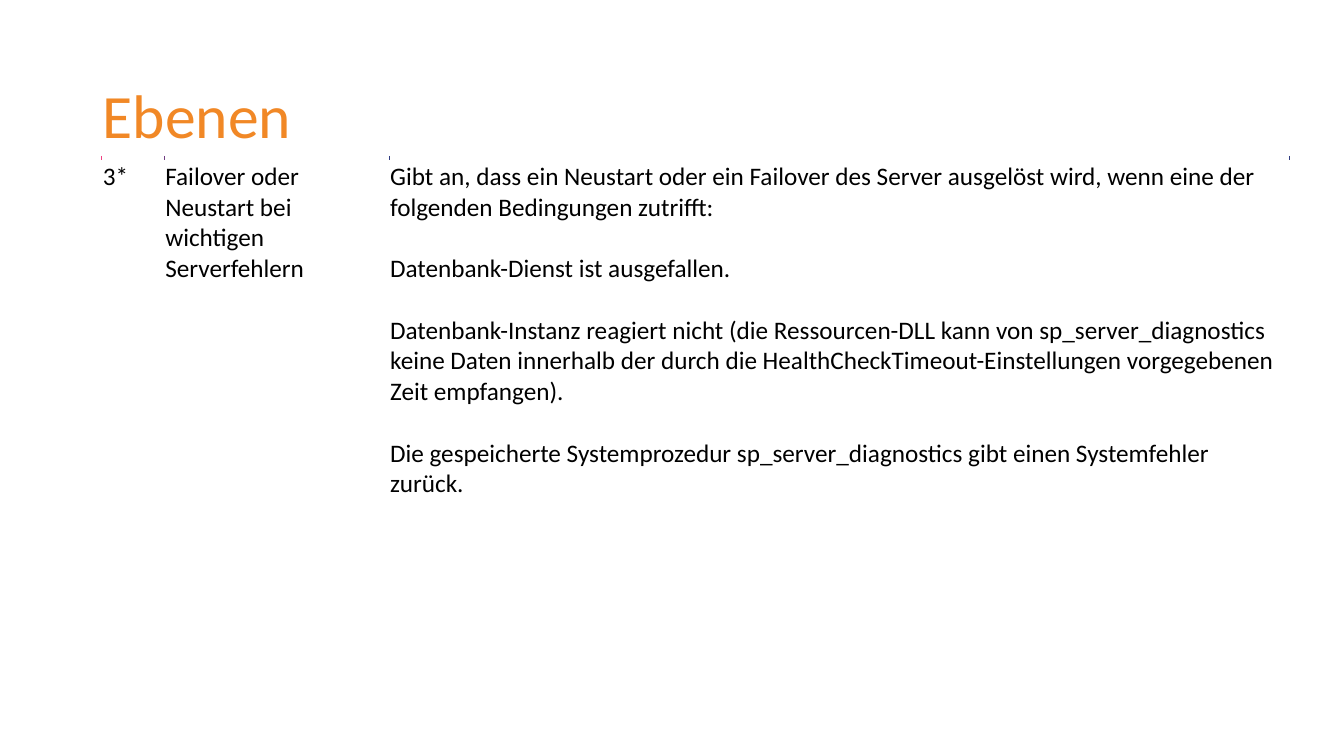
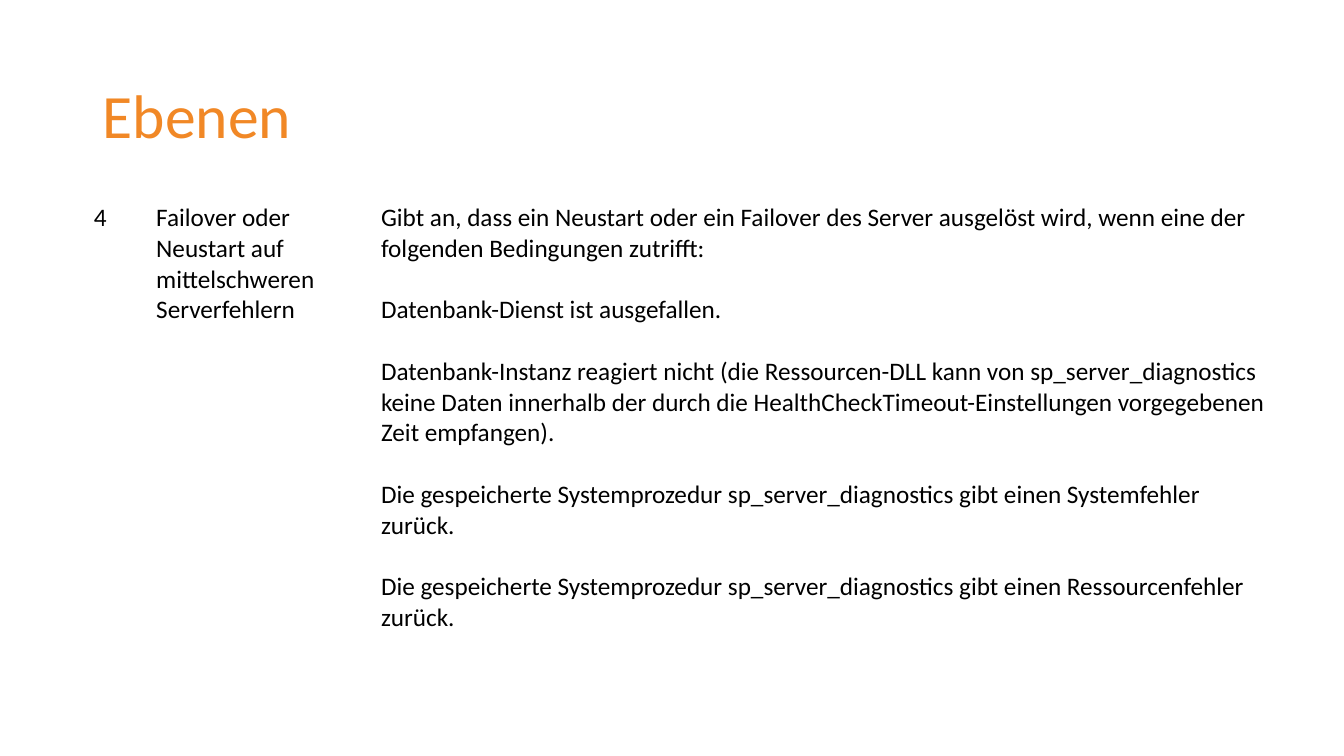
import dataclasses

import lxml.etree
import pptx
import pptx.dml.color
import pptx.enum.text
import pptx.oxml.ns
import pptx.util

Inches = pptx.util.Inches
Pt = pptx.util.Pt


@dataclasses.dataclass(frozen=True)
class Theme:
    font: str = "Calibri"
    accent: str = "F18826"
    ink: str = "000000"
    paper: str = "FFFFFF"
    title_size: int = 44
    body_size: int = 18
    empty_size: int = 1
    paragraph_gap: int = 22
    cell_inset: float = 0.01
    border_width: float = 0.75
    tick_width: float = 1


THEME = Theme()
TITLE_BOX = (0.92, 0.5, 11.5, 1.35)
COLUMN_WIDTHS = (0.62, 2.23, 8.93)
TICK_COLORS = ("F04082", "703C82", "303C82", "303C82")
SIDES = ("L", "R", "T", "B")

CONDITIONS = [
    "Gibt an, dass ein Neustart oder ein Failover des Server ausgelöst wird, "
    "wenn eine der folgenden Bedingungen zutrifft:",
    "Datenbank-Dienst ist ausgefallen.",
    "Datenbank-Instanz reagiert nicht (die Ressourcen-DLL kann von sp_server_diagnostics "
    "keine Daten innerhalb der durch die HealthCheckTimeout-Einstellungen vorgegebenen "
    "Zeit empfangen).",
    "Die gespeicherte Systemprozedur sp_server_diagnostics gibt einen Systemfehler zurück.",
]
RESOURCE_CONDITION = (
    "Die gespeicherte Systemprozedur sp_server_diagnostics gibt einen Ressourcenfehler zurück."
)


def rgb(color):
    return pptx.dml.color.RGBColor.from_string(color)


def write_text(frame, paragraphs, size=THEME.body_size, color=THEME.ink,
               line_spacing=1.0, gap=0):
    frame.word_wrap = True
    for index, content in enumerate(paragraphs):
        paragraph = frame.paragraphs[0] if index == 0 else frame.add_paragraph()
        paragraph.line_spacing = line_spacing
        paragraph.space_before = Pt(gap if index else 0)
        run = paragraph.add_run()
        run.text = content
        run.font.name = THEME.font
        run.font.size = Pt(size)
        run.font.color.rgb = rgb(color)


def shrink_empty(cell):
    paragraph = cell.text_frame.paragraphs[0]
    end = lxml.etree.SubElement(paragraph._p, pptx.oxml.ns.qn("a:endParaRPr"))
    end.set("sz", str(THEME.empty_size * 100))


def set_borders(cell, ticks):
    properties = cell._tc.get_or_add_tcPr()
    for index, side in enumerate(SIDES):
        width = THEME.tick_width if side in ticks else THEME.border_width
        line = lxml.etree.Element(pptx.oxml.ns.qn(f"a:ln{side}"), w=str(Pt(width)))
        fill = lxml.etree.SubElement(line, pptx.oxml.ns.qn("a:solidFill"))
        lxml.etree.SubElement(fill, pptx.oxml.ns.qn("a:srgbClr"),
                              val=ticks.get(side, THEME.paper))
        properties.insert(index, line)


def format_cell(cell, paragraphs, ticks):
    cell.margin_left = cell.margin_right = Inches(THEME.cell_inset)
    cell.margin_top = cell.margin_bottom = Inches(THEME.cell_inset)
    cell.fill.solid()
    cell.fill.fore_color.rgb = rgb(THEME.paper)
    set_borders(cell, ticks)
    if paragraphs:
        write_text(cell.text_frame, paragraphs, gap=THEME.paragraph_gap)
    else:
        shrink_empty(cell)


def add_title(slide, title, box):
    heading = slide.shapes.add_textbox(*map(Inches, box))
    heading.text_frame.vertical_anchor = pptx.enum.text.MSO_ANCHOR.MIDDLE
    write_text(heading.text_frame, [title], size=THEME.title_size,
               color=THEME.accent, line_spacing=0.9)


def add_level_table(slide, rows, row_heights, left, top, ticked_row=None):
    levels = slide.shapes.add_table(
        len(rows), len(COLUMN_WIDTHS), Inches(left), Inches(top),
        Inches(sum(COLUMN_WIDTHS)), Inches(sum(row_heights))).table
    levels.first_row = False
    levels.horz_banding = False
    for column, width in zip(levels.columns, COLUMN_WIDTHS):
        column.width = Inches(width)
    for row_index, (row, height) in enumerate(zip(rows, row_heights)):
        levels.rows[row_index].height = Inches(height)
        for column_index, paragraphs in enumerate(row):
            ticks = {}
            if row_index == ticked_row:
                ticks = {"L": TICK_COLORS[column_index], "R": TICK_COLORS[column_index + 1]}
            format_cell(levels.cell(row_index, column_index), paragraphs, ticks)


def add_level_slide(deck, rows, row_heights, left, top, ticked_row=None):
    slide = deck.slides.add_slide(deck.slide_layouts[6])
    slide.background.fill.solid()
    slide.background.fill.fore_color.rgb = rgb(THEME.paper)
    add_title(slide, "Ebenen", TITLE_BOX)
    add_level_table(slide, rows, row_heights, left, top, ticked_row)


def main():
    deck = pptx.Presentation()
    deck.slide_width = Inches(13.33)
    deck.slide_height = Inches(7.5)
    empty_row = [[], [], []]
    level_three = [["3*"], ["Failover oder Neustart bei wichtigen Serverfehlern"], CONDITIONS]
    level_four = [["4"], ["Failover oder Neustart auf mittelschweren Serverfehlern"],
                  CONDITIONS + [RESOURCE_CONDITION]]
    add_level_slide(deck, [empty_row, level_three], (0.04, 3.32), 1.01, 1.55, ticked_row=0)
    add_level_slide(deck, [level_four, empty_row], (4.21, 0.2), 0.92, 2)
    deck.save("out.pptx")


if __name__ == "__main__":
    main()
